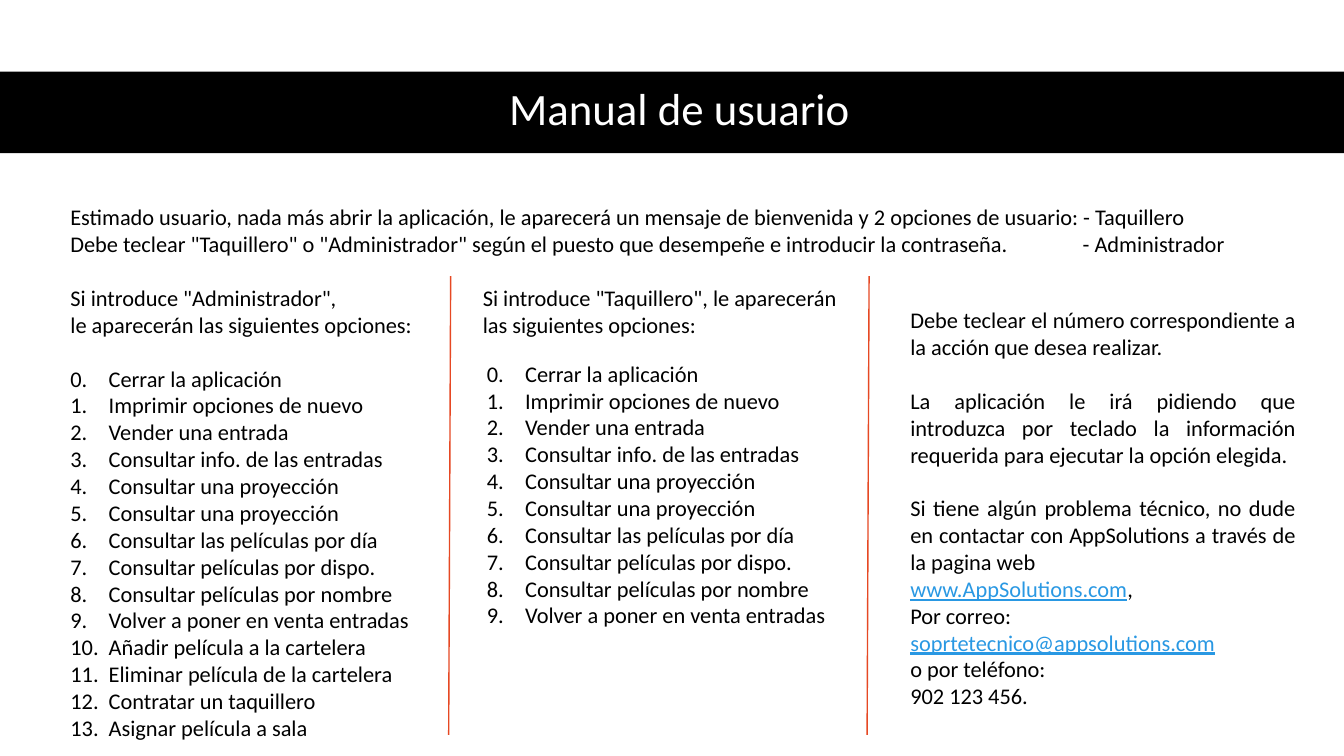
import pptx
import pptx.dml.color
import pptx.enum.shapes
import pptx.enum.text
import pptx.oxml.xmlchemy
import pptx.util
from dataclasses import dataclass
from lxml import etree
from pptx.oxml.ns import qn

Inches = pptx.util.Inches
Pt = pptx.util.Pt
Align = pptx.enum.text.PP_ALIGN
Anchor = pptx.enum.text.MSO_ANCHOR


@dataclass(frozen=True)
class Theme:
    font: str = "Calibri"
    title: int = 32
    body: int = 16
    gap: float = 19.2
    black: str = "000000"
    white: str = "FFFFFF"
    rule: str = "E64823"
    link: str = "2998E3"


THEME = Theme()
INDENT = 0.38
FIRST = "Cerrar la aplicación"
SHARED = [
    "Imprimir opciones de nuevo",
    "Vender una entrada",
    "Consultar info. de las entradas",
    "Consultar una proyección",
    "Consultar una proyección",
    "Consultar las películas por día",
    "Consultar películas por dispo.",
    "Consultar películas por nombre",
    "Volver a poner en venta entradas",
]
ADMIN = [
    "Añadir película a la cartelera",
    "Eliminar película de la cartelera",
    "Contratar un taquillero",
    "Asignar película a sala",
]


def rgb(value):
    return pptx.dml.color.RGBColor.from_string(value)


def add_box(slide, left, top, width, height, anchor=Anchor.TOP):
    box = slide.shapes.add_textbox(
        Inches(left), Inches(top), Inches(width), Inches(height))
    frame = box.text_frame
    frame.word_wrap = True
    frame.vertical_anchor = anchor
    return frame


def write(frame, text, link="", size=THEME.body, color=THEME.black,
          align=Align.LEFT, before=0, tab=None, number=False):
    para = frame.paragraphs[0]
    if para.runs:
        para = frame.add_paragraph()
    para.alignment = align
    if before:
        para.space_before = Pt(before)
    props = para._p.get_or_add_pPr()
    if number:
        props.set("marL", str(Inches(INDENT)))
        props.set("indent", str(-Inches(INDENT)))
        etree.SubElement(props, qn("a:buFont"), typeface="+mj-lt")
        etree.SubElement(props, qn("a:buAutoNum"), type="arabicPeriod")
    if tab:
        tabs = etree.SubElement(props, qn("a:tabLst"))
        etree.SubElement(tabs, qn("a:tab"), pos=str(Inches(tab)), algn="l")
    for part, tint in ((link, THEME.link), (text, color)):
        if part:
            run = para.add_run()
            run.text = part
            run.font.name = THEME.font
            run.font.size = Pt(size)
            run.font.color.rgb = rgb(tint)
            if tint == THEME.link:
                run.font.underline = True
    return para


def add_list(frame, items, before=0):
    write(frame, "0.\t" + FIRST, tab=INDENT, before=before)
    for item in items:
        write(frame, item, number=True)


def add_title(slide, text):
    band = slide.shapes.add_shape(
        pptx.enum.shapes.MSO_SHAPE.RECTANGLE,
        Inches(0), Inches(0.71), Inches(13.33), Inches(0.81))
    band.shadow.inherit = False
    band.fill.solid()
    band.fill.fore_color.rgb = rgb(THEME.black)
    band.line.fill.background()
    frame = add_box(slide, 0.61, 0.7, 12.26, 0.81, Anchor.MIDDLE)
    para = write(frame, text, size=THEME.title, color=THEME.white,
                 align=Align.CENTER)
    para.line_spacing = 0.9


def add_rule(slide, left):
    rule = slide.shapes.add_connector(
        pptx.enum.shapes.MSO_CONNECTOR.STRAIGHT,
        Inches(left), Inches(2.74), Inches(left - 0.02), Inches(7.29))
    rule.line.color.rgb = rgb(THEME.rule)
    rule.line.width = Pt(1)
    etree.SubElement(rule._element.spPr, qn("a:effectLst"))


def add_intro(slide):
    frame = add_box(slide, 0.6, 1.97, 12.34, 5.49)
    write(frame, "Estimado usuario, nada más abrir la aplicación, le aparecerá "
          "un mensaje de bienvenida y 2 opciones de usuario: - Taquillero")
    write(frame, 'Debe teclear "Taquillero" o "Administrador" según el puesto '
          "que desempeñe e introducir la contraseña.\t- Administrador",
          tab=10.04)
    write(frame, 'Si introduce "Administrador",\t'
          'Si introduce "Taquillero", le aparecerán',
          tab=4.09, before=THEME.gap)
    write(frame, "le aparecerán las siguientes opciones:\t"
          "las siguientes opciones:", tab=4.09)
    add_list(frame, SHARED + ADMIN, before=THEME.gap)


def add_help(slide):
    frame = add_box(slide, 8.93, 2.99, 4.02, 4.14)
    rows = [
        ("", "Debe teclear el número correspondiente a la acción que desea "
         "realizar.", 0),
        ("", "La aplicación le irá pidiendo que introduzca por teclado la "
         "información requerida para ejecutar la opción elegida.", THEME.gap),
        ("", "Si tiene algún problema técnico, no dude en contactar con "
         "AppSolutions a través de la pagina web", THEME.gap),
        ("www.AppSolutions.com", ",", 0),
        ("", "Por correo:", 0),
        ("soprtetecnico@appsolutions.com", "", 0),
        ("", "o por teléfono:", 0),
        ("", "902 123 456.", 0),
    ]
    for link, text, before in rows:
        write(frame, text, link=link, align=Align.JUSTIFY, before=before)


def main():
    deck = pptx.Presentation()
    deck.slide_width = Inches(13.33)
    deck.slide_height = Inches(7.5)
    slide = deck.slides.add_slide(deck.slide_layouts[6])
    add_title(slide, "Manual de usuario")
    add_intro(slide)
    add_list(add_box(slide, 4.73, 3.52, 4.68, 2.79), SHARED)
    for left in (4.47, 8.62):
        add_rule(slide, left)
    add_help(slide)
    deck.save("out.pptx")


if __name__ == "__main__":
    main()
